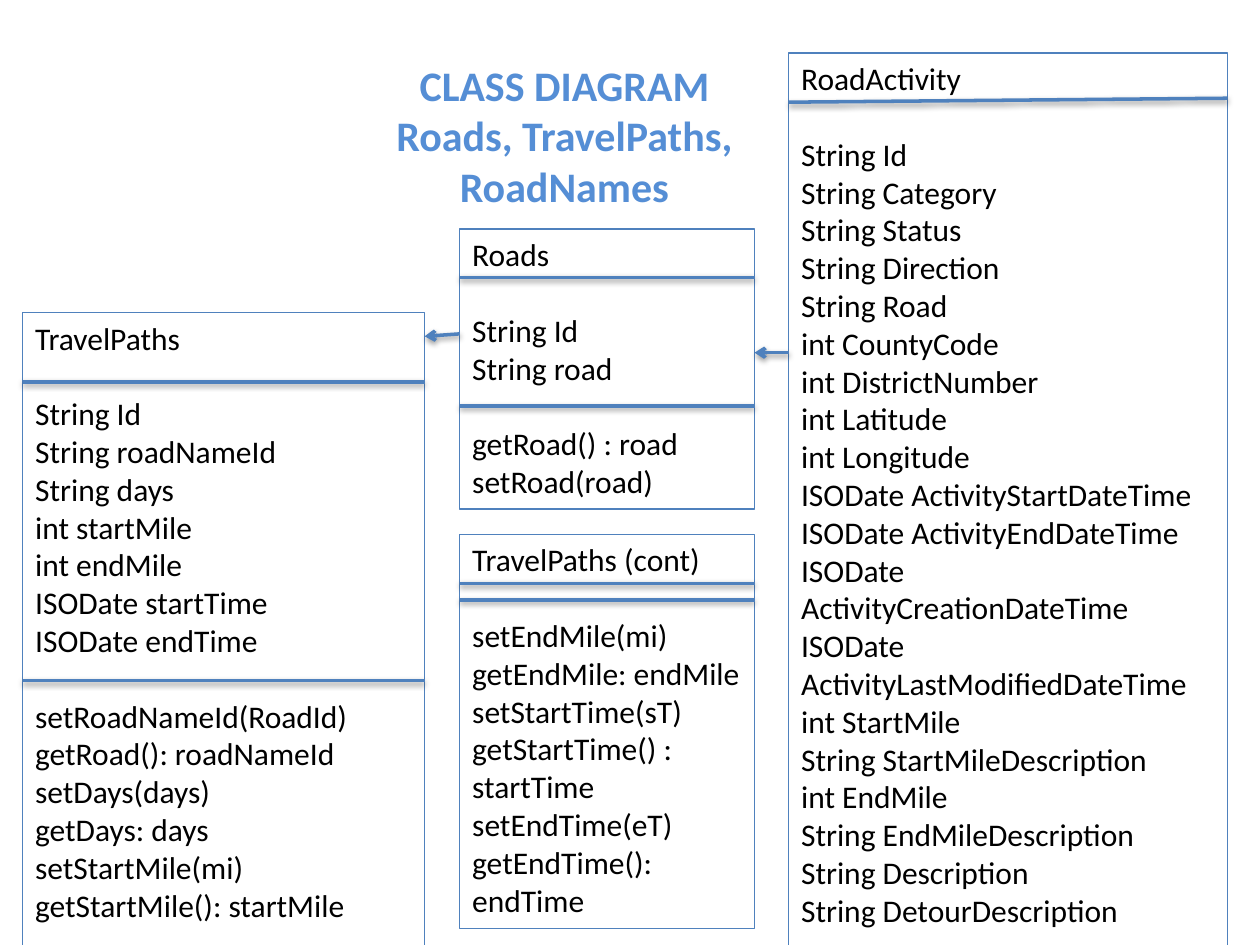
from dataclasses import dataclass

from lxml import etree
from pptx import Presentation
from pptx.dml.color import RGBColor
from pptx.enum.shapes import MSO_CONNECTOR, MSO_SHAPE
from pptx.enum.text import MSO_ANCHOR, PP_ALIGN
from pptx.oxml import parse_xml
from pptx.oxml.ns import nsdecls, qn
from pptx.util import Cm, Pt

RECT = MSO_SHAPE.RECTANGLE
LINE = MSO_CONNECTOR.STRAIGHT
TOP = MSO_ANCHOR.TOP
LEFT, MID = PP_ALIGN.LEFT, PP_ALIGN.CENTER

BLUE = RGBColor(0x4F, 0x81, 0xBD)
SKY = RGBColor(0x55, 0x8E, 0xD5)
BLACK = RGBColor(0, 0, 0)

BODY = {"name": "Calibri", "size": Pt(18), "bold": False}
HEAD = {"name": "Calibri", "size": Pt(24), "bold": True}
GAP = Pt(21.6)

SHADE = (
    f'<a:effectLst {nsdecls("a")}>'
    '<a:outerShdw blurRad="40000" dist="20000" dir="5400000" rotWithShape="0">'
    '<a:srgbClr val="000000"><a:alpha val="38000"/></a:srgbClr>'
    "</a:outerShdw></a:effectLst>"
)


@dataclass
class Box:
    left: float
    top: float
    width: float
    height: float
    texts: list[str]
    rules: list[tuple[float, float]]


@dataclass
class Link:
    x1: float
    y1: float
    x2: float
    y2: float
    arrow: bool = False


BOXES = [
    Box(15.9, 1.07, 8.84, 18.72, [
        "RoadActivity",
        """String Id
String Category
String Status
String Direction
String Road
int CountyCode
int DistrictNumber
int Latitude
int Longitude
ISODate ActivityStartDateTime
ISODate ActivityEndDateTime
ISODate ActivityCreationDateTime
ISODate ActivityLastModifiedDateTime
int StartMile
String StartMileDescription
int EndMile
String EndMileDescription
String Description
String DetourDescription""",
    ], [(2.06, 1.98)]),
    Box(0.46, 6.3, 8.1, 13.34, [
        "TravelPaths",
        """String Id
String roadNameId
String days
int startMile
int endMile
ISODate startTime
ISODate endTime""",
        """setRoadNameId(RoadId)
getRoad(): roadNameId
setDays(days)
getDays: days
setStartMile(mi)
getStartMile(): startMile""",
    ], [(7.7, 7.7), (13.72, 13.72)]),
    Box(9.27, 4.62, 5.94, 5.64, [
        "Roads",
        "String Id\nString road",
        "getRoad() : road\nsetRoad(road)",
    ], [(5.59, 5.59), (8.18, 8.18)]),
    Box(9.27, 10.77, 5.94, 7.95, [
        "TravelPaths (cont)",
        """setEndMile(mi)
getEndMile: endMile
setStartTime(sT)
getStartTime() : startTime
setEndTime(eT)
getEndTime(): endTime""",
    ], [(11.76, 11.76), (12.09, 12.09)]),
]

LINKS = [
    Link(15.9, 7.11, 15.21, 7.11, True),
    Link(9.27, 6.73, 8.56, 6.78, True),
]


def write(frame, texts: list[str], form: dict, color: RGBColor, align) -> None:
    frame.word_wrap = True
    frame.vertical_anchor = TOP
    para = frame.paragraphs[0]
    for i, block in enumerate(texts):
        for j, text in enumerate(block.split("\n")):
            if i or j:
                para = frame.add_paragraph()
            if i and not j:
                para.space_before = GAP
            para.alignment = align
            run = para.add_run()
            run.text = text
            for key, value in form.items():
                setattr(run.font, key, value)
            run.font.color.rgb = color


def draw_link(slide, link: Link) -> None:
    ends = [Cm(n) for n in (link.x1, link.y1, link.x2, link.y2)]
    line = slide.shapes.add_connector(LINE, *ends)
    line.line.color.rgb = BLUE
    line.line.width = Pt(2)
    props = line._element.spPr
    if link.arrow:
        etree.SubElement(props.find(qn("a:ln")), qn("a:tailEnd"), type="arrow")
    props.append(parse_xml(SHADE))


def draw_box(slide, box: Box) -> None:
    area = [Cm(n) for n in (box.left, box.top, box.width, box.height)]
    shape = slide.shapes.add_shape(RECT, *area)
    shape.shadow.inherit = False
    shape.fill.background()
    shape.line.color.rgb = BLUE
    shape.line.width = Pt(0.75)
    write(shape.text_frame, box.texts, BODY, BLACK, LEFT)
    for start, end in box.rules:
        draw_link(slide, Link(box.left, start, box.left + box.width, end))


def main() -> None:
    deck = Presentation()
    deck.slide_width, deck.slide_height = Cm(25.4), Cm(19.05)
    slide = deck.slides.add_slide(deck.slide_layouts[6])
    title = slide.shapes.add_textbox(Cm(6.86), Cm(1.07), Cm(9.04), Cm(3.33))
    names = "CLASS DIAGRAM\nRoads, TravelPaths, RoadNames"
    write(title.text_frame, [names], HEAD, SKY, MID)
    for box in BOXES:
        draw_box(slide, box)
    for link in LINKS:
        draw_link(slide, link)
    deck.save("out.pptx")


if __name__ == "__main__":
    main()
